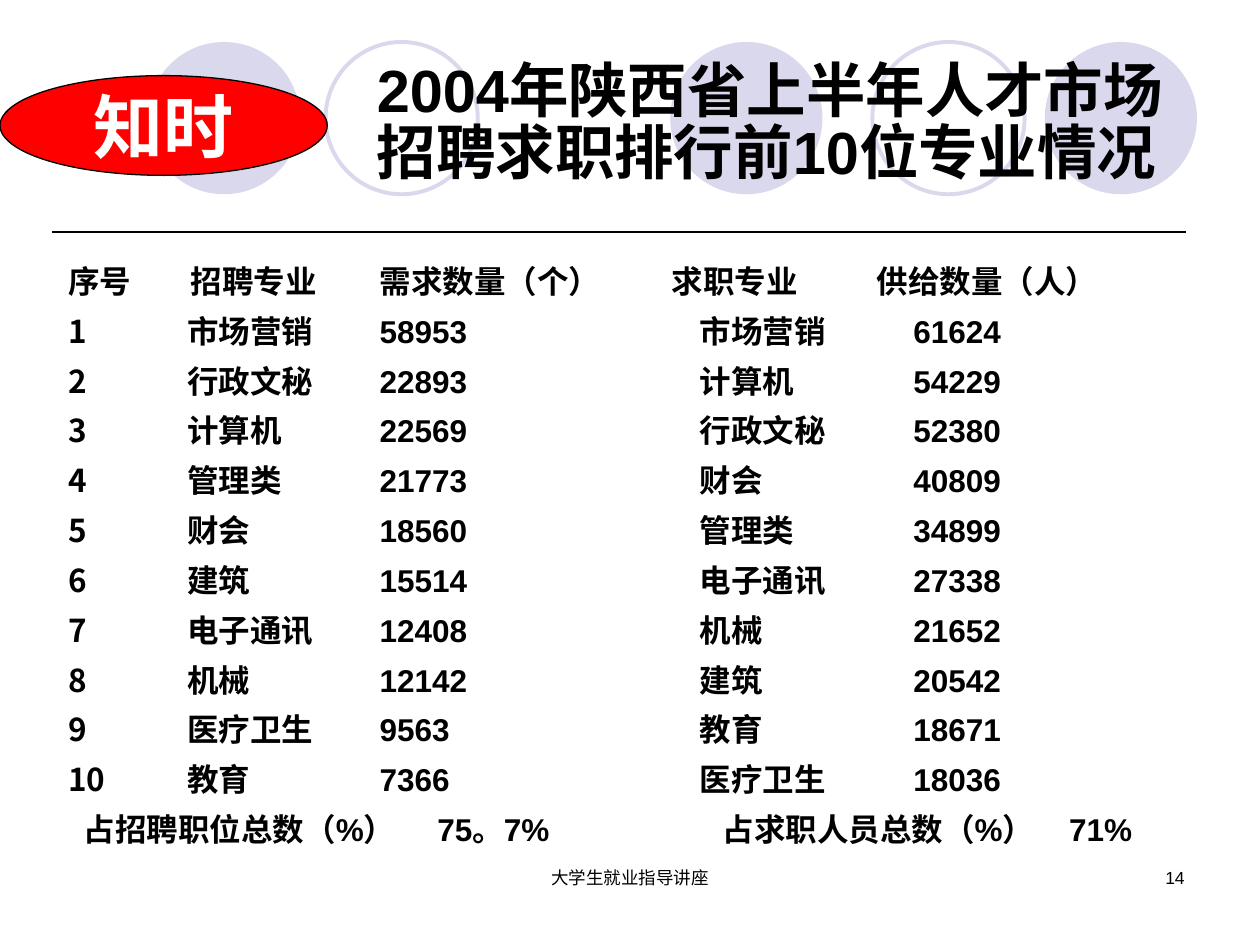
import pptx
import pptx.dml.color
import pptx.enum.shapes
import pptx.enum.text
import pptx.oxml.ns
import pptx.util
from dataclasses import dataclass
from lxml import etree

Pt = pptx.util.Pt
SHAPE = pptx.enum.shapes.MSO_SHAPE
ALIGN = pptx.enum.text.PP_ALIGN
ANCHOR = pptx.enum.text.MSO_ANCHOR
qn = pptx.oxml.ns.qn


@dataclass
class Circle:
    left: float
    filled: bool


@dataclass
class Box:
    left: float
    top: float
    width: float
    height: float
    inset_x: float = 7.2
    inset_y: float = 3.6
    anchor: object = ANCHOR.TOP
    wrap: bool = True


@dataclass
class Row:
    cells: tuple
    stops: tuple
    numbered: bool = False


LILAC = "D9D8EC"
CIRCLE_TOP, CIRCLE_SIZE = 24, 87
CIRCLES = [Circle(383, True), Circle(597, True), Circle(84.5, True),
           Circle(498.5, False), Circle(186, False)]

HEADER_STOPS = (70, 178, 345, 462)
BODY_STOPS = (68, 178, 361, 483)
TOTAL_STOPS = (9, 211, 374, 572)
INDENT = 26.6

RANKING = [
    ("市场营销", "58953", "市场营销", "61624"),
    ("行政文秘", "22893", "计算机", "54229"),
    ("计算机", "22569", "行政文秘", "52380"),
    ("管理类", "21773", "财会", "40809"),
    ("财会", "18560", "管理类", "34899"),
    ("建筑", "15514", "电子通讯", "27338"),
    ("电子通讯", "12408", "机械", "21652"),
    ("机械", "12142", "建筑", "20542"),
    ("医疗卫生", "9563", "教育", "18671"),
    ("教育", "7366", "医疗卫生", "18036"),
]
ROWS = [
    Row(("序号", "招聘专业", "需求数量（个）", "求职专业", "供给数量（人）"), HEADER_STOPS),
    *[Row(("", *cells), BODY_STOPS, True) for cells in RANKING],
    Row(("", "占招聘职位总数（%）", "75。7%", "占求职人员总数（%）", "71%"), TOTAL_STOPS),
]


def rgb(value: str):
    return pptx.dml.color.RGBColor.from_string(value)


def set_frame(sp, box: Box):
    tf = sp.text_frame
    formats = {"word_wrap": box.wrap, "vertical_anchor": box.anchor,
               "margin_left": Pt(box.inset_x), "margin_right": Pt(box.inset_x),
               "margin_top": Pt(box.inset_y), "margin_bottom": Pt(box.inset_y)}
    for name, value in formats.items():
        setattr(tf, name, value)
    return tf


def add_box(s, box: Box):
    sp = s.shapes.add_textbox(Pt(box.left), Pt(box.top), Pt(box.width), Pt(box.height))
    return set_frame(sp, box)


def write(p, text: str, size: float, bold: bool = False, color: str = "000000",
          align=ALIGN.LEFT):
    p.text = text
    p.alignment = align
    for r in p.runs:
        for name, value in {"name": "Arial", "size": Pt(size), "bold": bold}.items():
            setattr(r.font, name, value)
        r.font.color.rgb = rgb(color)


def add_ellipse(s, left: float, top: float, width: float, height: float,
                fill: str | None, line: str | None, weight: float = 0.75):
    sp = s.shapes.add_shape(SHAPE.OVAL, Pt(left), Pt(top), Pt(width), Pt(height))
    sp.shadow.inherit = False
    if fill:
        sp.fill.solid()
        sp.fill.fore_color.rgb = rgb(fill)
    else:
        sp.fill.background()
    if line:
        sp.line.color.rgb = rgb(line)
        sp.line.width = Pt(weight)
    else:
        sp.line.fill.background()
    return sp


def add_row(p, row: Row, first: bool):
    pPr = p._p.get_or_add_pPr()
    if row.numbered:
        pPr.set("marL", str(Pt(INDENT)))
        pPr.set("indent", str(-Pt(INDENT)))
        color = etree.SubElement(pPr, qn("a:buClr"))
        etree.SubElement(color, qn("a:srgbClr"), val="000000")
        etree.SubElement(pPr, qn("a:buAutoNum"), type="arabicPlain")
    tabs = etree.SubElement(pPr, qn("a:tabLst"))
    for stop in row.stops:
        etree.SubElement(tabs, qn("a:tab"), pos=str(Pt(stop)), algn="l")
    p.line_spacing = 0.86
    p.space_before = Pt(0 if first else 9.9)
    write(p, "\t".join(row.cells), 18, True)


def main():
    prs = pptx.Presentation()
    prs.slide_width, prs.slide_height = Pt(720), Pt(540)
    s = prs.slides.add_slide(prs.slide_layouts[6])

    # Background circles
    for c in CIRCLES:
        add_ellipse(s, c.left, CIRCLE_TOP, CIRCLE_SIZE, CIRCLE_SIZE,
                    LILAC if c.filled else None, None if c.filled else LILAC, 2.25)

    # Title
    tf = add_box(s, Box(212.5, 18, 484, 107, 2.9, 2.9, ANCHOR.MIDDLE))
    write(tf.paragraphs[0], "2004年陕西省上半年人才市场\v招聘求职排行前10位专业情况", 34, True)
    tf.paragraphs[0].line_spacing = 0.86

    # Rule under the title
    rule = s.shapes.add_connector(pptx.enum.shapes.MSO_CONNECTOR.STRAIGHT,
                                  Pt(30), Pt(132.5), Pt(678), Pt(132.5))
    rule.line.color.rgb = rgb("000000")
    rule.line.width = Pt(0.85)
    etree.SubElement(rule._element.spPr, qn("a:effectLst"))

    # Ranking list
    tf = add_box(s, Box(36, 150, 660, 387, 2.9, 2.9))
    for i, row in enumerate(ROWS):
        add_row(tf.add_paragraph() if i else tf.paragraphs[0], row, i == 0)

    # Red badge
    badge = Box(0, 43.2, 187, 57, anchor=ANCHOR.MIDDLE, wrap=False)
    sp = add_ellipse(s, badge.left, badge.top, badge.width, badge.height, "FF0000", "000000")
    write(set_frame(sp, badge).paragraphs[0], "知时", 40, True, "FFFFFF", ALIGN.CENTER)

    # Footer and page number
    for left, width, text, align in [(246, 228, "大学生就业指导讲座", ALIGN.CENTER),
                                     (516, 168, "14", ALIGN.RIGHT)]:
        tf = add_box(s, Box(left, 492, width, 36))
        write(tf.paragraphs[0], text, 10, align=align)

    prs.save("out.pptx")


if __name__ == "__main__":
    main()
